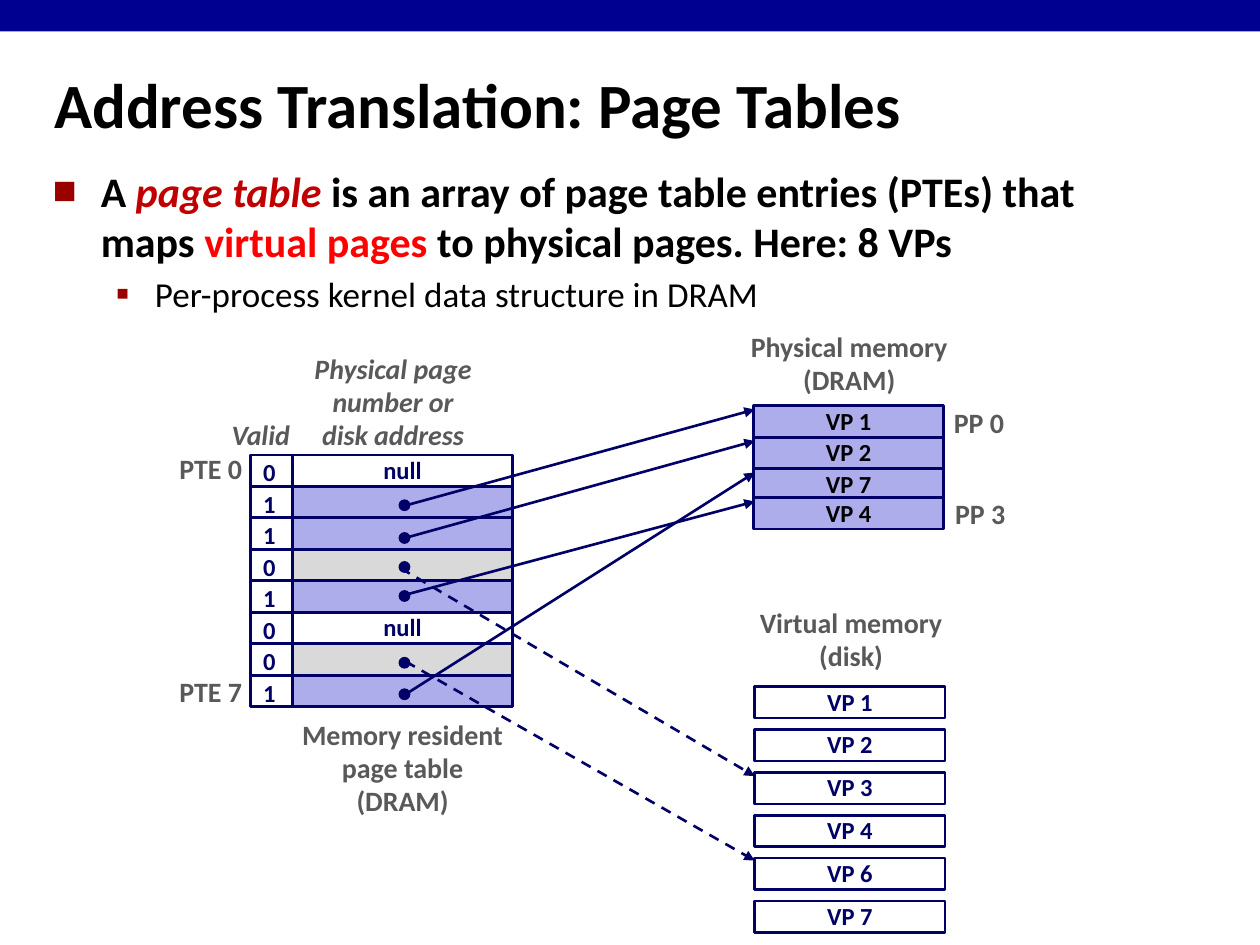
from dataclasses import dataclass
from typing import Optional

import lxml.etree
import pptx
import pptx.dml.color
import pptx.enum.dml
import pptx.enum.shapes
import pptx.enum.text
import pptx.oxml.ns
import pptx.util

Inches = pptx.util.Inches
Align = pptx.enum.text.PP_ALIGN
Anchor = pptx.enum.text.MSO_ANCHOR
AutoSize = pptx.enum.text.MSO_AUTO_SIZE
Preset = pptx.enum.shapes.MSO_SHAPE

NAVY, LILAC, SILVER, WHITE, BLACK, GREY = "000066", "ADADEB", "D9D9D9", "FFFFFF", "000000", "595959"
ROW_HEIGHT = 0.25
TABLE_TOP = 3.61
VALID_LEFT, VALID_WIDTH = 1.99, 0.33
ADDRESS_LEFT, ADDRESS_WIDTH = 2.32, 1.75
MEMORY_WIDTH = 1.51
DOT_LEFT, DOT_SIZE = 3.17, 0.08
ARROW_END = 5.99


@dataclass
class Pointer:
    dot_top: float
    start: tuple[float, float]
    end_top: float


@dataclass
class Entry:
    valid: str
    fill: str
    text: str = ""
    pointer: Optional[Pointer] = None


@dataclass
class Label:
    lines: list[str]
    area: tuple[float, float, float, float]
    align: Align = Align.CENTER
    anchor: Anchor = Anchor.MIDDLE
    italic: bool = False
    wrap: bool = False
    size: int = 16
    color: str = GREY


ENTRIES = [
    Entry("0", WHITE, "null"),
    Entry("1", LILAC, pointer=Pointer(3.97, (3.19, 4.02), 3.25)),
    Entry("1", LILAC, pointer=Pointer(4.23, (3.25, 4.26), 3.5)),
    Entry("0", SILVER, pointer=Pointer(4.46, (3.18, 4.51), 6.16)),
    Entry("1", LILAC, pointer=Pointer(4.69, (3.22, 4.72), 3.98)),
    Entry("0", WHITE, "null"),
    Entry("0", SILVER, pointer=Pointer(5.22, (3.22, 5.25), 6.83)),
    Entry("1", LILAC, pointer=Pointer(5.47, (3.22, 5.51), 3.75)),
]
PHYSICAL_PAGES = [("VP 1", 3.22), ("VP 2", 3.47), ("VP 7", 3.72), ("VP 4", 3.95)]
DISK_PAGES = ["VP 1", "VP 2", "VP 3", "VP 4", "VP 6", "VP 7"]
DISK_TOP, DISK_STEP = 5.45, 0.34

LABELS = [
    Label(["Memory resident", "page table", "(DRAM)"], (2.27, 5.66, 1.85, 0.89), anchor=Anchor.TOP),
    Label(["Physical memory", "(DRAM)"], (5.85, 2.58, 1.78, 0.63), anchor=Anchor.TOP),
    Label(["Virtual memory", "(disk)"], (5.91, 4.77, 1.69, 0.63), anchor=Anchor.TOP),
    Label(["Valid"], (1.74, 3.28, 0.75, 0.37), Align.LEFT, Anchor.TOP, italic=True, wrap=True),
    Label(["Physical page", "number or", "disk address"], (2.39, 2.75, 1.46, 0.89), italic=True),
    Label(["PTE 0"], (1.32, 3.54, 0.7, 0.37), Align.RIGHT),
    Label(["PTE 7"], (1.32, 5.31, 0.7, 0.37), Align.RIGHT),
    Label(["PP 0"], (7.47, 3.18, 0.6, 0.37)),
    Label(["PP 3"], (7.48, 3.9, 0.6, 0.37)),
]


def rgb(color: str) -> pptx.dml.color.RGBColor:
    return pptx.dml.color.RGBColor.from_string(color)


def apply(target, values: dict) -> None:
    for name, value in values.items():
        setattr(target, name, value)


def place(shape, area: tuple[float, float, float, float]) -> None:
    apply(shape, dict(zip(("left", "top", "width", "height"), map(Inches, area))))


def add_span(para, text: str, size: int, color: str, bold: bool = True, italic: bool = False) -> None:
    span = para.add_run()
    span.text = text
    apply(span.font, {"name": "Calibri", "size": pptx.util.Pt(size), "bold": bold, "italic": italic})
    span.font.color.rgb = rgb(color)


def add_shape(slide, preset, area, fill: Optional[str], line: Optional[str] = NAVY, width: float = 1.5):
    shape = slide.shapes.add_shape(preset, *map(Inches, area))
    shape.shadow.inherit = False
    if fill:
        shape.fill.solid()
        shape.fill.fore_color.rgb = rgb(fill)
    else:
        shape.fill.background()
    if line:
        shape.line.color.rgb = rgb(line)
        shape.line.width = pptx.util.Pt(width)
    else:
        shape.line.fill.background()
    return shape


def add_page(slide, area, fill: str, text: str, color: str = NAVY) -> None:
    box = add_shape(slide, Preset.RECTANGLE, area, fill)
    if text:
        apply(box.text_frame, {"word_wrap": False, "vertical_anchor": Anchor.MIDDLE})
        para = box.text_frame.paragraphs[0]
        apply(para, {"alignment": Align.CENTER, "line_spacing": 0.98})
        add_span(para, text, 14, color)


def add_label(slide, label: Label) -> None:
    frame = slide.shapes.add_textbox(*map(Inches, label.area)).text_frame
    apply(frame, {"word_wrap": label.wrap, "vertical_anchor": label.anchor,
                  "auto_size": AutoSize.SHAPE_TO_FIT_TEXT})
    for index, line in enumerate(label.lines):
        para = frame.add_paragraph() if index else frame.paragraphs[0]
        apply(para, {"alignment": label.align, "line_spacing": 0.98})
        add_span(para, line, label.size, label.color, italic=label.italic)


def add_pointer(slide, pointer: Pointer, dashed: bool) -> None:
    arrow = slide.shapes.add_connector(pptx.enum.shapes.MSO_CONNECTOR.STRAIGHT,
                                       *map(Inches, (*pointer.start, ARROW_END, pointer.end_top)))
    arrow.line.color.rgb = rgb(NAVY)
    arrow.line.width = pptx.util.Pt(1.5)
    if dashed:
        arrow.line.dash_style = pptx.enum.dml.MSO_LINE.DASH
    outline = arrow.line._get_or_add_ln()
    lxml.etree.SubElement(outline, pptx.oxml.ns.qn("a:tailEnd"), type="triangle")
    lxml.etree.SubElement(arrow._element.spPr, pptx.oxml.ns.qn("a:effectLst"))
    add_shape(slide, Preset.OVAL, (DOT_LEFT, pointer.dot_top, DOT_SIZE, DOT_SIZE), NAVY, width=1)


def set_bullet(para, character: str, percent: int, margin: float, hanging: float) -> None:
    qn = pptx.oxml.ns.qn
    properties = para._p.get_or_add_pPr()
    properties.set("marL", str(Inches(margin)))
    properties.set("indent", str(-Inches(hanging)))
    tint = lxml.etree.SubElement(properties, qn("a:buClr"))
    lxml.etree.SubElement(tint, qn("a:srgbClr"), val="990000")
    lxml.etree.SubElement(properties, qn("a:buSzPct"), val=str(percent * 1000))
    lxml.etree.SubElement(properties, qn("a:buFont"), typeface="Calibri")
    lxml.etree.SubElement(properties, qn("a:buChar"), char=character)


def fill_placeholders(slide) -> None:
    title, body = slide.placeholders[0], slide.placeholders[1]
    place(title, (0.33, 0.39, 9.06, 0.86))
    apply(title.text_frame, {"vertical_anchor": Anchor.MIDDLE, "auto_size": AutoSize.NONE})
    heading = title.text_frame.paragraphs[0]
    heading.alignment = Align.LEFT
    add_span(heading, "Address Translation: Page Tables", 36, BLACK)

    place(body, (0.32, 1.26, 9.09, 1.41))
    body.text_frame.auto_size = AutoSize.NONE
    main = body.text_frame.paragraphs[0]
    set_bullet(main, "■", 60, 0.38, 0.38)
    main.space_before = pptx.util.Pt(0)
    add_span(main, "A ", 24, BLACK)
    add_span(main, "page table ", 24, "C00000", italic=True)
    add_span(main, "is an array of page table entries (PTEs) that maps ", 24, BLACK)
    add_span(main, "virtual pages ", 24, "FF0000")
    add_span(main, "to physical pages. Here: 8 VPs", 24, BLACK)
    detail = body.text_frame.add_paragraph()
    set_bullet(detail, "▪", 110, 0.81, 0.31)
    apply(detail, {"level": 1, "space_before": pptx.util.Pt(4)})
    add_span(detail, "Per-process kernel data structure in DRAM", 20, BLACK, bold=False)


def main() -> None:
    deck = pptx.Presentation()
    apply(deck, {"slide_width": Inches(10), "slide_height": Inches(7.5)})
    slide = deck.slides.add_slide(deck.slide_layouts[1])
    add_shape(slide, Preset.RECTANGLE, (0, 0, 10, 0.25), "000090", None)
    fill_placeholders(slide)

    for index, entry in enumerate(ENTRIES):
        top = TABLE_TOP + index * ROW_HEIGHT
        add_page(slide, (ADDRESS_LEFT, top, ADDRESS_WIDTH, ROW_HEIGHT), entry.fill, entry.text)
        add_shape(slide, Preset.RECTANGLE, (VALID_LEFT, top, VALID_WIDTH, ROW_HEIGHT), None)
        add_label(slide, Label([entry.valid], (VALID_LEFT, top - 0.02, 0.31, 0.33), Align.LEFT,
                               Anchor.TOP, size=14, color=NAVY))
    for text, top in PHYSICAL_PAGES:
        add_page(slide, (5.98, top, MEMORY_WIDTH, ROW_HEIGHT), LILAC, text, BLACK)
    for index, text in enumerate(DISK_PAGES):
        add_page(slide, (ARROW_END, DISK_TOP + index * DISK_STEP, MEMORY_WIDTH, ROW_HEIGHT), WHITE, text)
    for entry in ENTRIES:
        if entry.pointer:
            add_pointer(slide, entry.pointer, dashed=entry.valid == "0")
    for label in LABELS:
        add_label(slide, label)
    deck.save("out.pptx")


if __name__ == "__main__":
    main()
